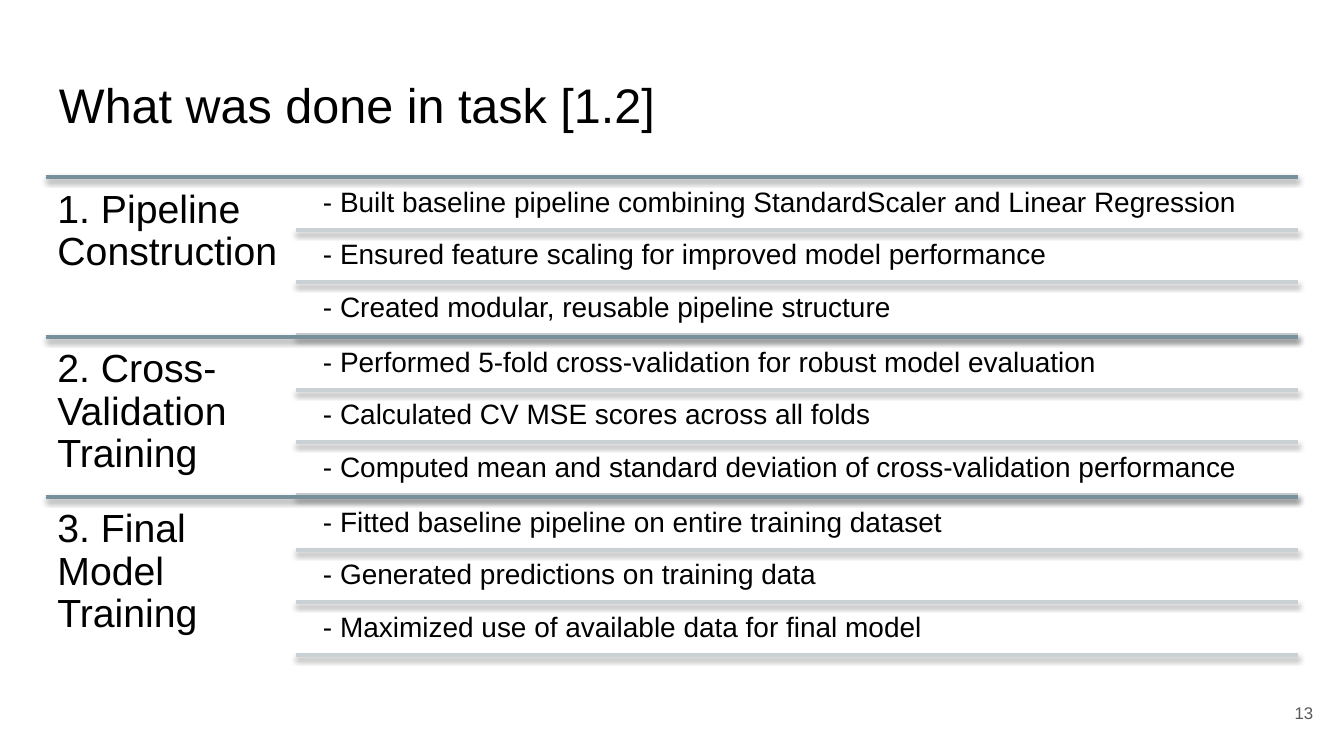
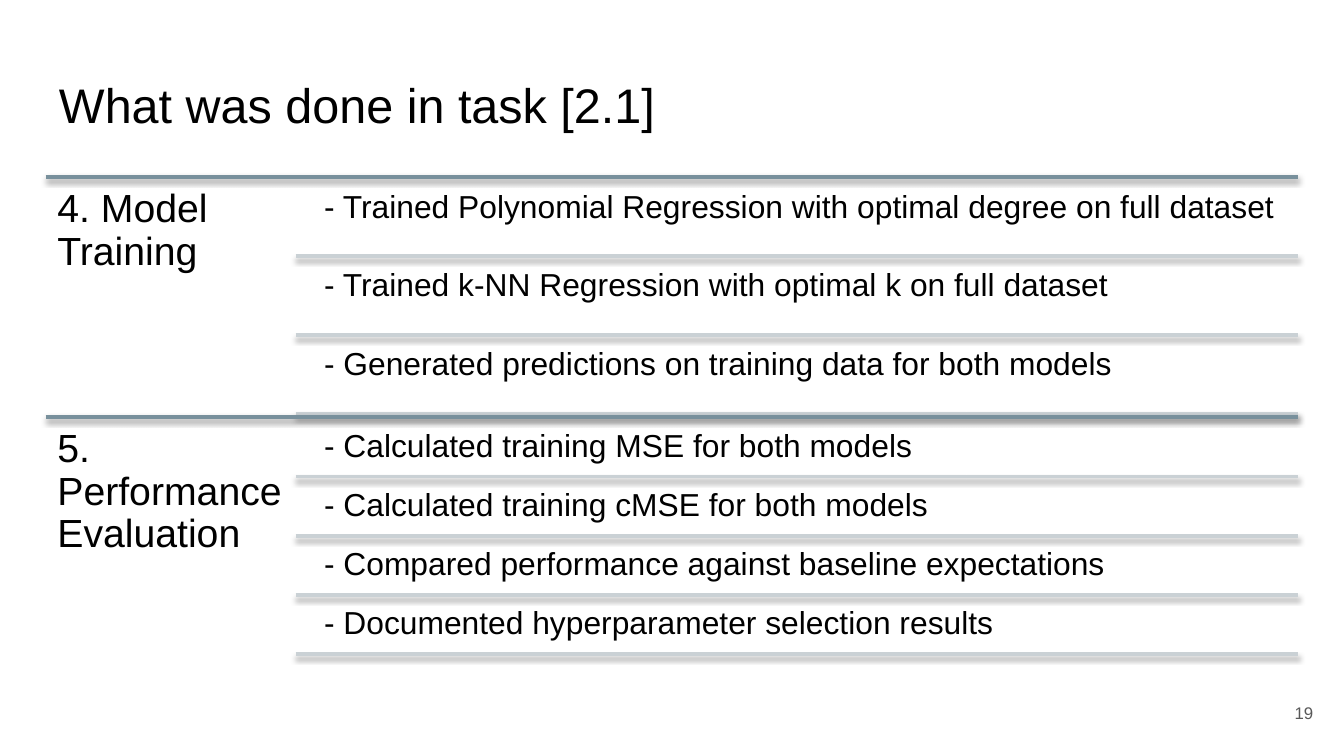
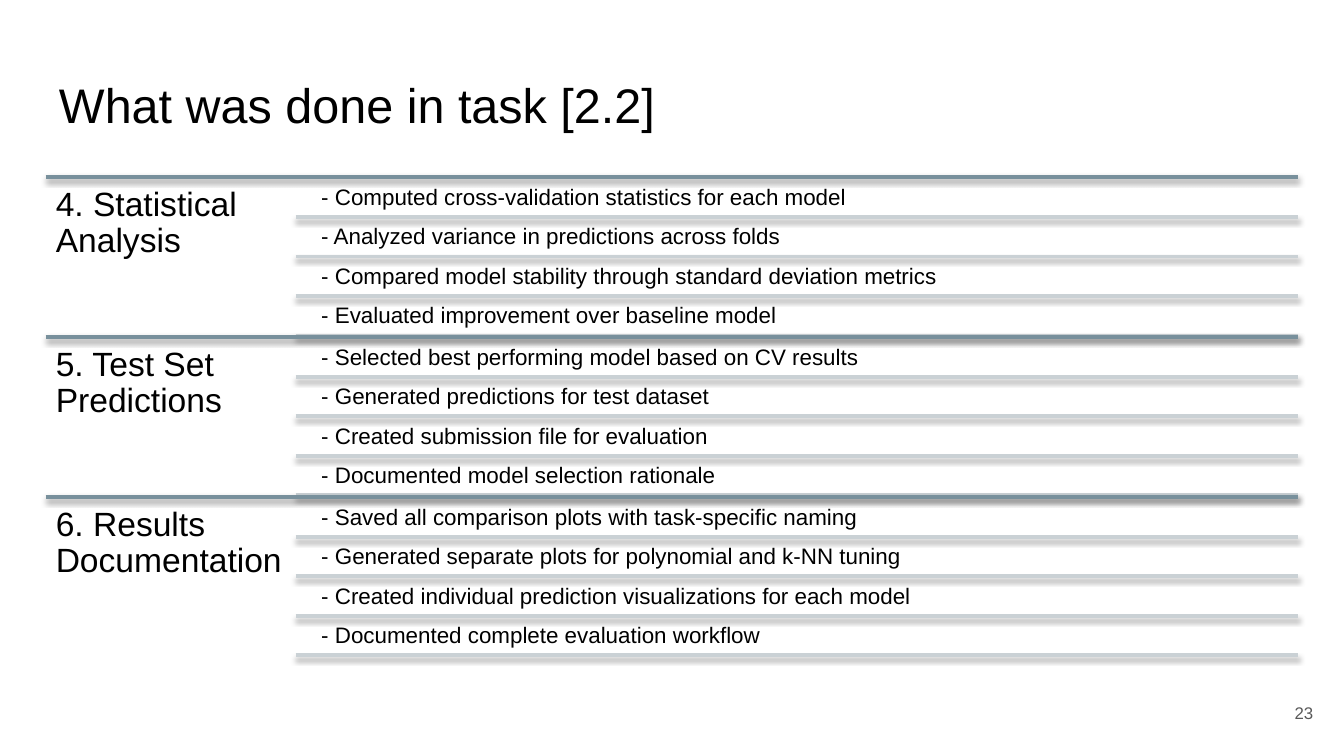
from dataclasses import dataclass

from lxml.etree import SubElement
from pptx import Presentation
from pptx.dml.color import RGBColor
from pptx.enum.shapes import MSO_CONNECTOR as Connector
from pptx.enum.text import MSO_ANCHOR as Anchor, PP_ALIGN as Align
from pptx.oxml.ns import qn
from pptx.shapes.shapetree import GroupShapes, SlideShapes
from pptx.util import Inches, Pt

SLIDE_WIDTH = 10
SLIDE_HEIGHT = SLIDE_WIDTH * 9 / 16

FONT = "Arial"
BLACK, GREY = "000000", "595959"
SECTION_RULE, STEP_RULE = "78909C", "CAD1D5"

LEFT, RIGHT = 0.34, 9.66
OUTLINE_TOP, OUTLINE_HEIGHT = 1.32, 3.57
HEADING_WIDTH = 1.86
STEP_RULE_LEFT = LEFT + HEADING_WIDTH
STEP_LEFT = 2.34
GAP_RATIO = 0.05  # gap between steps, as a share of a step's height
INSET_RATIO = 0.3  # text inset, as a share of the font size

Shapes = SlideShapes | GroupShapes


@dataclass(frozen=True)
class Section:
    heading: str
    steps: tuple[str, ...]


@dataclass(frozen=True)
class TaskSlide:
    task: str
    number: int
    heading_size: int
    step_size: int
    sections: tuple[Section, ...]


TASK_SLIDES = (
    TaskSlide("1.2", 13, 21, 15, (
        Section("1. Pipeline Construction", (
            "Built baseline pipeline combining StandardScaler and Linear Regression",
            "Ensured feature scaling for improved model performance",
            "Created modular, reusable pipeline structure",
        )),
        Section("2. Cross-Validation Training", (
            "Performed 5-fold cross-validation for robust model evaluation",
            "Calculated CV MSE scores across all folds",
            "Computed mean and standard deviation of cross-validation performance",
        )),
        Section("3. Final Model Training", (
            "Fitted baseline pipeline on entire training dataset",
            "Generated predictions on training data",
            "Maximized use of available data for final model",
        )),
    )),
    TaskSlide("2.1", 19, 21, 17, (
        Section("4. Model Training", (
            "Trained Polynomial Regression with optimal degree on full dataset",
            "Trained k-NN Regression with optimal k on full dataset",
            "Generated predictions on training data for both models",
        )),
        Section("5. Performance Evaluation", (
            "Calculated training MSE for both models",
            "Calculated training cMSE for both models",
            "Compared performance against baseline expectations",
            "Documented hyperparameter selection results",
        )),
    )),
    TaskSlide("2.2", 23, 18, 12, (
        Section("4. Statistical Analysis", (
            "Computed cross-validation statistics for each model",
            "Analyzed variance in predictions across folds",
            "Compared model stability through standard deviation metrics",
            "Evaluated improvement over baseline model",
        )),
        Section("5. Test Set Predictions", (
            "Selected best performing model based on CV results",
            "Generated predictions for test dataset",
            "Created submission file for evaluation",
            "Documented model selection rationale",
        )),
        Section("6. Results Documentation", (
            "Saved all comparison plots with task-specific naming",
            "Generated separate plots for polynomial and k-NN tuning",
            "Created individual prediction visualizations for each model",
            "Documented complete evaluation workflow",
        )),
    )),
)


def rgb(color: str) -> RGBColor:
    return RGBColor.from_string(color)


def add_text(shapes: Shapes, text: str, left: float, top: float, width: float,
             height: float, size: int, inset: float, color: str = BLACK,
             anchor: Anchor = Anchor.TOP, align: Align = Align.LEFT) -> None:
    box = shapes.add_textbox(Inches(left), Inches(top), Inches(width), Inches(height))
    frame = box.text_frame
    frame.word_wrap = True
    frame.vertical_anchor = anchor
    frame.margin_left = frame.margin_right = Inches(inset)
    frame.margin_top = frame.margin_bottom = Inches(inset)
    paragraph = frame.paragraphs[0]
    paragraph.alignment = align
    paragraph.line_spacing = 0.9
    run = paragraph.add_run()
    run.text = text
    run.font.name = FONT
    run.font.size = Pt(size)
    run.font.color.rgb = rgb(color)


def add_rule(shapes: Shapes, left: float, top: float, color: str) -> None:
    """Draw a horizontal line to the right margin, with a soft shadow below it."""
    rule = shapes.add_connector(Connector.STRAIGHT, Inches(left), Inches(top),
                                Inches(RIGHT), Inches(top))
    rule.line.color.rgb = rgb(color)
    rule.line.width = Pt(2)
    effects = SubElement(rule._element.spPr, qn("a:effectLst"))
    shadow = SubElement(effects, qn("a:outerShdw"), blurRad=str(Pt(3.1)),
                        dist=str(Pt(1.6)), dir="5400000", rotWithShape="0")
    shade = SubElement(shadow, qn("a:srgbClr"), val=BLACK)
    SubElement(shade, qn("a:alpha"), val="38000")


def add_section(shapes: Shapes, section: Section, top: float, height: float,
                heading_size: int, step_size: int) -> None:
    add_rule(shapes, LEFT, top, SECTION_RULE)
    add_text(shapes, section.heading, LEFT, top, HEADING_WIDTH, height,
             heading_size, INSET_RATIO * heading_size / 72)
    count = len(section.steps)
    step_height = height / (count + GAP_RATIO * (count + 1))
    gap = GAP_RATIO * step_height
    for index, step in enumerate(section.steps):
        step_top = top + gap + index * (step_height + gap)
        add_text(shapes, f"- {step}", STEP_LEFT, step_top, RIGHT - STEP_LEFT,
                 step_height, step_size, INSET_RATIO * step_size / 72)
        add_rule(shapes, STEP_RULE_LEFT, step_top + step_height, STEP_RULE)


def add_task_slide(deck: Presentation, content: TaskSlide) -> None:
    slide = deck.slides.add_slide(deck.slide_layouts[6])
    slide.background.fill.solid()
    slide.background.fill.fore_color.rgb = rgb("FFFFFF")
    add_text(slide.shapes, f"What was done in task [{content.task}]", LEFT, 0.49,
             RIGHT - LEFT, 0.63, 26, 0.1, anchor=Anchor.MIDDLE)
    add_text(slide.shapes, str(content.number), 9.27, 5.1, 0.6, 0.43, 9, 0.1,
             GREY, Anchor.MIDDLE, Align.RIGHT)
    outline = slide.shapes.add_group_shape().shapes
    height = OUTLINE_HEIGHT / len(content.sections)
    for index, section in enumerate(content.sections):
        add_section(outline, section, OUTLINE_TOP + index * height, height,
                    content.heading_size, content.step_size)


def main() -> None:
    deck = Presentation()
    deck.slide_width, deck.slide_height = Inches(SLIDE_WIDTH), Inches(SLIDE_HEIGHT)
    for content in TASK_SLIDES:
        add_task_slide(deck, content)
    deck.save("out.pptx")


if __name__ == "__main__":
    main()
